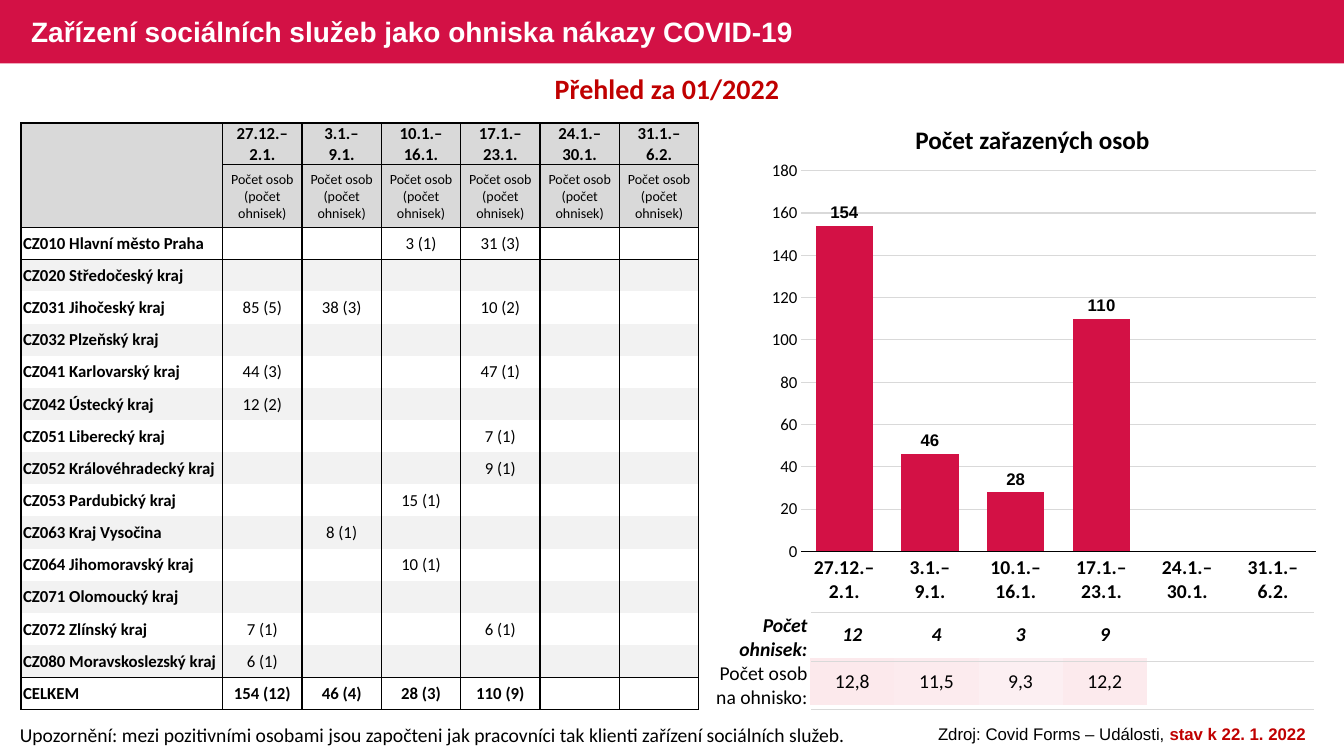
from dataclasses import dataclass

from lxml.etree import SubElement
from pptx import Presentation
from pptx.chart.data import CategoryChartData
from pptx.dml.color import RGBColor
from pptx.enum.chart import XL_CHART_TYPE, XL_LABEL_POSITION, XL_TICK_MARK
from pptx.enum.shapes import MSO_SHAPE
from pptx.enum.text import MSO_ANCHOR, PP_ALIGN
from pptx.oxml import parse_xml
from pptx.oxml.ns import nsdecls, qn
from pptx.util import Cm, Pt


@dataclass(frozen=True)
class Theme:
    brand: str = "D31145"
    accent: str = "C00000"
    ink: str = "000000"
    white: str = "FFFFFF"
    header: str = "D9D9D9"
    band: str = "F2F2F2"
    heading: int = 20
    subheading: int = 18
    body: int = 14
    small: int = 12
    tiny: int = 10
    sans: str = "Arial"
    text: str = "Calibri"


THEME = Theme()
TITLE = "Zařízení sociálních služeb jako ohniska nákazy COVID-19"
SUBTITLE = "Přehled za 01/2022"
CHART_TITLE = "Počet zařazených osob"
NOTE = ("Upozornění: mezi pozitivními osobami jsou započteni jak pracovníci "
        "tak klienti zařízení sociálních služeb.")
SOURCE = "Zdroj: Covid Forms – Události, "
SOURCE_DATE = "stav k 22. 1. 2022"
WEEKS = ["27.12.–\n2.1.", "3.1.–\n9.1.", "10.1.–\n16.1.",
         "17.1.–\n23.1.", "24.1.–\n30.1.", "31.1.–\n6.2."]
MEASURE = "Počet osob (počet ohnisek)"
REGIONS = [
    ("CZ010 Hlavní město Praha", "", "", "3 (1)", "31 (3)"),
    ("CZ020 Středočeský kraj",),
    ("CZ031 Jihočeský kraj", "85 (5)", "38 (3)", "", "10 (2)"),
    ("CZ032 Plzeňský kraj",),
    ("CZ041 Karlovarský kraj", "44 (3)", "", "", "47 (1)"),
    ("CZ042 Ústecký kraj", "12 (2)"),
    ("CZ051 Liberecký kraj", "", "", "", "7 (1)"),
    ("CZ052 Královéhradecký kraj", "", "", "", "9 (1)"),
    ("CZ053 Pardubický kraj", "", "", "15 (1)"),
    ("CZ063 Kraj Vysočina", "", "8 (1)"),
    ("CZ064 Jihomoravský kraj", "", "", "10 (1)"),
    ("CZ071 Olomoucký kraj",),
    ("CZ072 Zlínský kraj", "7 (1)", "", "", "6 (1)"),
    ("CZ080 Moravskoslezský kraj", "6 (1)"),
]
TOTALS = ("CELKEM", "154 (12)", "46 (4)", "28 (3)", "110 (9)")
PERSONS = [154, 46, 28, 110, None, None]
OUTBREAKS = [("12", "4", "3", "9"), ("12,8", "11,5", "9,3", "12,2")]
RATIO_FILLS = ["FCE9EC", "FCEBEE", "FCEFF2", "FCEAED"]
OUTBREAK_LABELS = ["Počet ohnisek:", "Počet osob na ohnisko:"]
NO_STYLE = "{2D5ABB26-0587-4C30-8999-92F81FD0307C}"


def assign(target, values):
    for name, value in values.items():
        setattr(target, name, value)


def set_font(font, size, color=THEME.ink, name=THEME.text, bold=False, italic=False):
    assign(font, {"size": Pt(size), "name": name, "bold": bold, "italic": italic})
    font.color.rgb = RGBColor.from_string(color)


def add_text(slide, area, spans, align=PP_ALIGN.LEFT):
    box = slide.shapes.add_textbox(*map(Cm, area))
    box.text_frame.word_wrap = True
    para = box.text_frame.paragraphs[0]
    para.alignment = align
    for words, font in spans:
        span = para.add_run()
        span.text = words
        set_font(span.font, **font)


def add_grid(slide, left, top, widths, heights):
    frame = slide.shapes.add_table(len(heights), len(widths), Cm(left), Cm(top),
                                   Cm(sum(widths)), Cm(sum(heights)))
    table = frame.table
    assign(table, {"first_row": False, "horz_banding": False})
    frame.element.find(".//" + qn("a:tableStyleId")).text = NO_STYLE
    for column, width in zip(table.columns, widths):
        column.width = Cm(width)
    for row, height in zip(table.rows, heights):
        row.height = Cm(height)
    return table


def fill_cell(cell, words="", font=None, align=PP_ALIGN.CENTER, fill=None,
              borders=None, margins=(0.03, 0.03)):
    assign(cell, {"vertical_anchor": MSO_ANCHOR.MIDDLE, "margin_left": Cm(margins[0]),
                  "margin_right": Cm(margins[1]), "margin_top": Cm(0.02), "margin_bottom": 0})
    if fill:
        cell.fill.solid()
        cell.fill.fore_color.rgb = RGBColor.from_string(fill)
    else:
        cell.fill.background()
    if words:
        para = cell.text_frame.paragraphs[0]
        para.text = words
        para.alignment = align
        for span in para.runs:
            set_font(span.font, **font)
    properties = cell._tc.get_or_add_tcPr()
    sides = [side for side in "LRTB" if side in (borders or {})]
    for position, side in enumerate(sides):
        color, weight = borders[side]
        properties.insert(position, parse_xml(
            f'<a:ln{side} {nsdecls("a")} w="{Pt(weight)}"><a:solidFill>'
            f'<a:srgbClr val="{color}"/></a:solidFill></a:ln{side}>'))


def add_region_table(slide):
    rows = [("", *WEEKS), ("", *[MEASURE] * len(WEEKS)), *REGIONS, TOTALS]
    last = len(rows) - 1
    heights = [1.05, 1.57] + [0.81] * (last - 1)
    table = add_grid(slide, 0.53, 3.1, [5.08] + [2] * len(WEEKS), heights)
    line, thin = (THEME.ink, 1), (THEME.ink, 0.5)
    for r, row in enumerate(rows):
        fill = THEME.header if r < 2 else THEME.band if r % 2 and r < last else None
        for c in range(len(WEEKS) + 1):
            borders = {"L": line, "R": line}
            if r in (0, last) or (r == 1 and c):
                borders["T"] = line
            if r >= last - 1 or (r == 0 and c):
                borders["B"] = line
            if r == 1:
                borders["B"] = thin
            if r == 2:
                borders["T"] = thin
            font = {"size": THEME.tiny if r == 1 else THEME.small,
                    "bold": r in (0, last) or c == 0}
            fill_cell(table.cell(r, c), row[c] if c < len(row) else "", font,
                      PP_ALIGN.CENTER if c else PP_ALIGN.LEFT, fill, borders,
                      (0.03, 0.03) if c else (0.05, 0.05))


def add_outbreak_tables(slide):
    heights = [1.19, 1.19]
    values = add_grid(slide, 20.42, 15.39, [2.12] * len(WEEKS), heights)
    labels = add_grid(slide, 17.88, 15.44, [2.57] + [1.81] * 7, heights)
    rule = (THEME.header, 1)
    for r, label in enumerate(OUTBREAK_LABELS):
        font = {"size": THEME.body, "bold": r == 0, "italic": r == 0}
        for c in range(len(WEEKS)):
            known = c < len(OUTBREAKS[r])
            fill_cell(values.cell(r, c), OUTBREAKS[r][c] if known else "", font,
                      fill=RATIO_FILLS[c] if r and known else None)
        fill_cell(labels.cell(r, 0), label, font, PP_ALIGN.RIGHT, margins=(0.03, 0.1))
        for c in range(1, 8):
            fill_cell(labels.cell(r, c), borders={"T": rule, "B": rule})


def add_person_chart(slide):
    data = CategoryChartData()
    data.categories = WEEKS
    data.add_series(CHART_TITLE, PERSONS)
    chart = slide.shapes.add_chart(XL_CHART_TYPE.COLUMN_CLUSTERED, Cm(19.2), Cm(3.84),
                                   Cm(14.25), Cm(11.56), data).chart
    assign(chart, {"has_legend": False, "has_title": False})
    set_font(chart.font, THEME.body, name=THEME.sans, bold=True)
    plot = chart.plots[0]
    assign(plot, {"gap_width": 50, "vary_by_categories": False, "has_data_labels": True})
    assign(plot.data_labels, {"show_value": True, "position": XL_LABEL_POSITION.OUTSIDE_END})
    set_font(plot.data_labels.font, THEME.small, name=THEME.sans, bold=True)
    bars = plot.series[0].format.fill
    bars.solid()
    bars.fore_color.rgb = RGBColor.from_string(THEME.brand)
    weeks, persons = chart.category_axis, chart.value_axis
    for axis, size, bold in ((weeks, THEME.body, True), (persons, THEME.small, False)):
        assign(axis, {"major_tick_mark": XL_TICK_MARK.NONE, "minor_tick_mark": XL_TICK_MARK.NONE})
        set_font(axis.tick_labels.font, size, bold=bold)
    assign(persons, {"minimum_scale": 0, "maximum_scale": 180, "major_unit": 20})
    persons.format.line.fill.background()
    for line, color in ((weeks.format.line, THEME.ink),
                        (persons.major_gridlines.format.line, THEME.header)):
        line.width = Pt(0.75)
        line.color.rgb = RGBColor.from_string(color)
    area = chart.element.find(".//" + qn("c:plotArea"))
    for old in area.findall(qn("c:layout")):
        area.remove(old)
    layout = parse_xml(f'<c:layout {nsdecls("c")}><c:manualLayout/></c:layout>')
    for name, value in (("layoutTarget", "inner"), ("xMode", "edge"), ("yMode", "edge"),
                        ("x", "0.07"), ("y", "0.04"), ("w", "0.91"), ("h", "0.83")):
        SubElement(layout[0], qn("c:" + name)).set("val", value)
    area.insert(0, layout)


def add_heading(slide, width):
    banner = slide.shapes.add_shape(MSO_SHAPE.RECTANGLE, 0, 0, width, Cm(1.6))
    banner.shadow.inherit = False
    banner.fill.solid()
    banner.fill.fore_color.rgb = RGBColor.from_string(THEME.brand)
    banner.line.fill.background()
    title = slide.shapes.title
    title.element.addprevious(banner.element)
    assign(title, {"left": Cm(0.53), "top": Cm(0.05), "width": Cm(20.65), "height": Cm(1.6)})
    title.text_frame.text = TITLE
    title.text_frame.vertical_anchor = MSO_ANCHOR.MIDDLE
    para = title.text_frame.paragraphs[0]
    assign(para, {"alignment": PP_ALIGN.LEFT, "line_spacing": 0.9})
    set_font(para.runs[0].font, THEME.heading, THEME.white, THEME.sans, True)


def main():
    deck = Presentation()
    assign(deck, {"slide_width": Cm(33.87), "slide_height": Cm(19.05)})
    slide = deck.slides.add_slide(deck.slide_layouts[5])
    add_heading(slide, deck.slide_width)
    add_region_table(slide)
    add_person_chart(slide)
    add_outbreak_tables(slide)
    small = {"size": THEME.small, "name": THEME.sans}
    accent = {"color": THEME.accent, "bold": True}
    add_text(slide, (0.53, 1.68, 32.56, 1.12),
             [(SUBTITLE, {"size": THEME.heading, **accent})], PP_ALIGN.CENTER)
    add_text(slide, (19.2, 3.02, 13.64, 1.02),
             [(CHART_TITLE, {"size": THEME.subheading, "bold": True})], PP_ALIGN.CENTER)
    add_text(slide, (0.25, 18.08, 21.64, 0.86), [(NOTE, {"size": THEME.body})])
    add_text(slide, (22.94, 18.11, 10.67, 0.76),
             [(SOURCE, small), (SOURCE_DATE, {**small, **accent})], PP_ALIGN.CENTER)
    deck.save("out.pptx")


if __name__ == "__main__":
    main()
